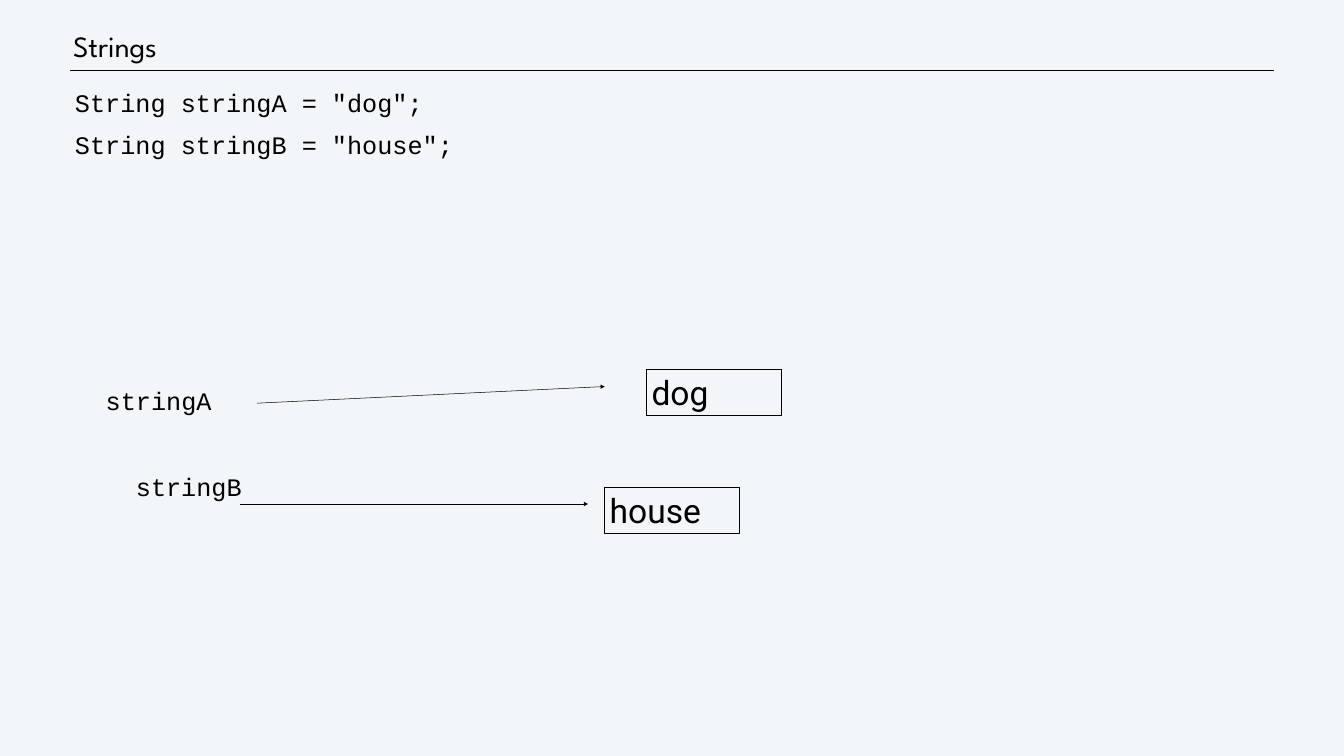
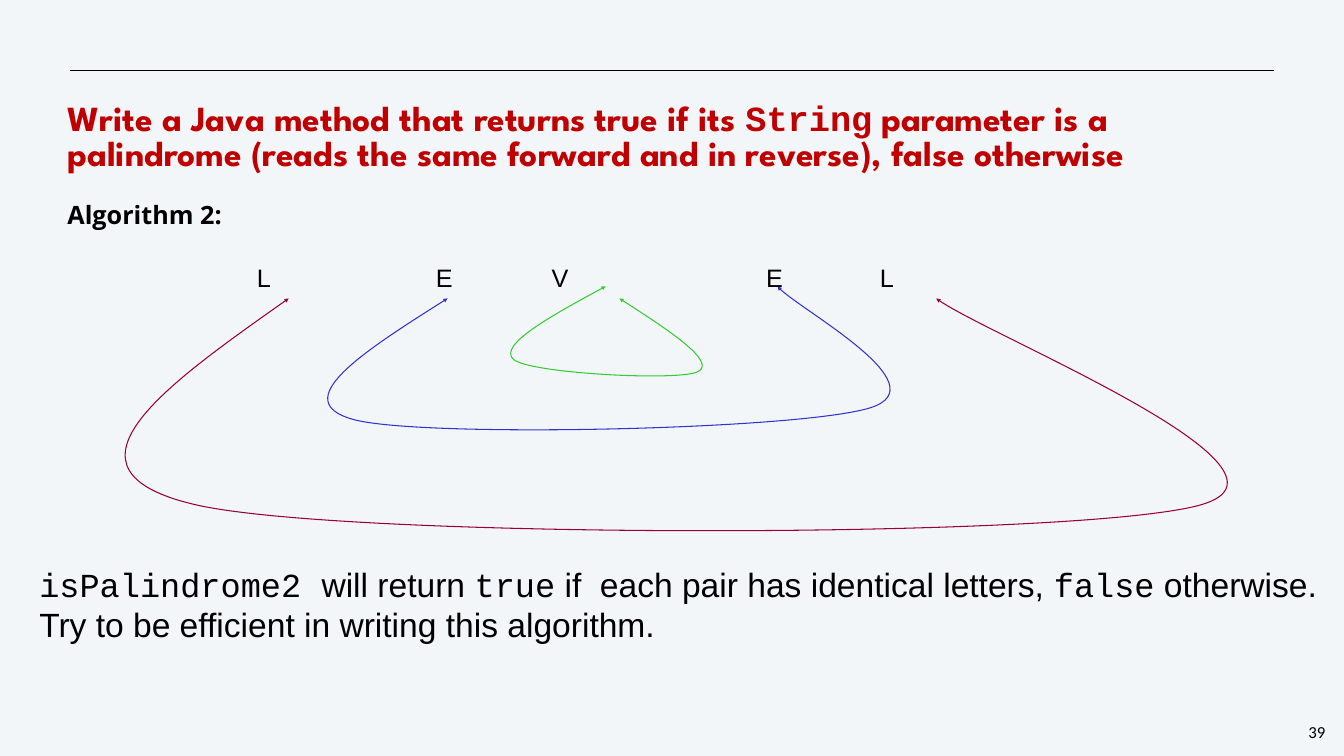
from dataclasses import dataclass

from lxml import etree
from pptx import Presentation
from pptx.dml.color import RGBColor
from pptx.enum.shapes import MSO_CONNECTOR, MSO_SHAPE
from pptx.enum.text import MSO_ANCHOR, MSO_AUTO_SIZE, PP_ALIGN
from pptx.oxml.ns import qn
from pptx.util import Cm, Pt

STRAIGHT = MSO_CONNECTOR.STRAIGHT
RECTANGLE = MSO_SHAPE.RECTANGLE
TOP, MIDDLE = MSO_ANCHOR.TOP, MSO_ANCHOR.MIDDLE
LEFT, CENTER = PP_ALIGN.LEFT, PP_ALIGN.CENTER
NO_AUTOFIT = MSO_AUTO_SIZE.NONE

BACKGROUND = RGBColor(0xF3, 0xF6, 0xF9)
BLACK = RGBColor(0x00, 0x00, 0x00)
RED = RGBColor(0xC0, 0x00, 0x00)
OUTER_PAIR = RGBColor(0x99, 0x00, 0x33)
MIDDLE_PAIR = RGBColor(0x33, 0x33, 0xCC)
INNER_PAIR = RGBColor(0x33, 0xCC, 0x33)

HEADING_FONT = "League Spartan"
CODE_FONT = "Courier New"
TEXT_FONT = "Arial"

Point = tuple[float, float]
Runs = list[tuple[str, str]]  # text and font


@dataclass(frozen=True)
class Box:
    """Position and size in centimetres."""
    left: float
    top: float
    width: float
    height: float

    def lengths(self) -> tuple:
        return Cm(self.left), Cm(self.top), Cm(self.width), Cm(self.height)


@dataclass(frozen=True)
class TextStyle:
    size: float
    color: RGBColor = BLACK
    bold: bool = False
    line_pitch: float | None = None
    space_before: float = 0
    align: PP_ALIGN = LEFT
    anchor: MSO_ANCHOR = TOP
    inset: tuple[float, float] = (0.15, 0.15)


@dataclass(frozen=True)
class StringVariable:
    name: str
    value: str
    label: Box
    value_box: Box
    arrow: tuple[Point, Point]


@dataclass(frozen=True)
class PairCurve:
    """A chain of Bezier curves: a start, then three points for each curve."""
    color: RGBColor
    points: tuple[Point, ...]


HEADING = TextStyle(42, line_pitch=50, space_before=3, anchor=MIDDLE)
TASK = TextStyle(50.4, RED, True, 50, 3, anchor=MIDDLE)
CODE = TextStyle(36, line_pitch=43, space_before=18)
SUBHEADING = TextStyle(36, bold=True, line_pitch=43, space_before=18)
VALUE = TextStyle(48, inset=(0.25, 0.13))
LETTERS = TextStyle(36, anchor=MIDDLE, inset=(0.51, 0.25))
EXPLANATION = TextStyle(48, anchor=MIDDLE, inset=(0.51, 0.25))
PAGE_NUMBER = TextStyle(24, line_pitch=28, align=CENTER, inset=(0.1, 0.1))

VARIABLES = [
    StringVariable("stringA", "dog", Box(5.18, 19.28, 7, 2), Box(32.59, 18.62, 6.78, 2.31),
                   ((12.95, 20.32), (30.48, 19.48))),
    StringVariable("stringB", "house", Box(6.7, 23.6, 7, 2), Box(30.48, 24.56, 6.78, 2.31),
                   ((12.12, 25.4), (29.64, 25.4))),
]

LETTER_STOPS = {6.17: "L", 15.19: "E", 21.03: "V", 31.83: "E", 37.57: "L"}

PAIR_CURVES = [
    PairCurve(OUTER_PAIR, (
        (14.55, 15.04), (8.41, 19.38), (2.24, 23.7), (9.91, 25.45),
        (17.55, 27.18), (54.31, 27.18), (60.5, 25.45),
        (66.73, 23.7), (49.4, 16.76), (47.19, 15.04))),
    PairCurve(MIDDLE_PAIR, (
        (22.56, 15.04), (18.44, 17.65), (14.35, 20.24), (17.88, 21.16),
        (21.44, 22.07), (40.31, 21.67), (43.87, 20.55),
        (47.42, 19.43), (39.98, 15.44), (39.19, 14.43))),
    PairCurve(INNER_PAIR, (
        (30.53, 14.43), (27.81, 15.9), (25.1, 17.4), (25.88, 18.11),
        (26.64, 18.82), (34.32, 19.23), (35.2, 18.72),
        (36.09, 18.21), (33.66, 16.61), (31.22, 15.04))),
]


def write(shape, paragraphs: list[Runs], style: TextStyle) -> None:
    frame = shape.text_frame
    frame.word_wrap = True
    frame.auto_size = NO_AUTOFIT
    frame.vertical_anchor = style.anchor
    frame.margin_left = frame.margin_right = Cm(style.inset[0])
    frame.margin_top = frame.margin_bottom = Cm(style.inset[1])
    for index, runs in enumerate(paragraphs):
        paragraph = frame.add_paragraph() if index else frame.paragraphs[0]
        paragraph.alignment = style.align
        paragraph.space_before = Pt(style.space_before)
        if style.line_pitch:
            paragraph.line_spacing = Pt(style.line_pitch)
        for text, font_name in runs:
            run = paragraph.add_run()
            run.text = text
            run.font.name = font_name
            run.font.size = Pt(style.size)
            run.font.bold = style.bold
            run.font.color.rgb = style.color


def add_text(slide, box: Box, paragraphs: list[Runs], style: TextStyle):
    text_box = slide.shapes.add_textbox(*box.lengths())
    write(text_box, paragraphs, style)
    return text_box


def set_line(shape, color: RGBColor, width: float, ends: tuple[str, ...] = ()) -> None:
    """Format the line; ends names the arrowheads, headEnd before tailEnd."""
    shape.line.color.rgb = color
    shape.line.width = Pt(width)
    for end in ends:
        etree.SubElement(shape.line._get_or_add_ln(), qn(f"a:{end}"), type="triangle")


def add_line(slide, start: Point, end: Point, width: float, ends: tuple[str, ...] = ()) -> None:
    x1, y1, x2, y2 = (Cm(value) for value in start + end)
    line = slide.shapes.add_connector(STRAIGHT, x1, y1, x2, y2)
    set_line(line, BLACK, width, ends)
    etree.SubElement(line._element.spPr, qn("a:effectLst"))


def add_titled_slide(prs, box: Box, runs: Runs, style: TextStyle):
    slide = prs.slides.add_slide(prs.slide_layouts[5])
    title = slide.shapes.title
    title.left, title.top, title.width, title.height = box.lengths()
    write(title, [runs], style)
    add_line(slide, (3.53, 3.56), (64.21, 3.56), 1)
    return slide


def add_variable(slide, variable: StringVariable) -> None:
    add_text(slide, variable.label, [[(variable.name, CODE_FONT)]], CODE)
    value_box = slide.shapes.add_shape(RECTANGLE, *variable.value_box.lengths())
    value_box.fill.background()
    value_box.shadow.inherit = False
    set_line(value_box, BLACK, 0.75)
    write(value_box, [[(variable.value, "Roboto")]], VALUE)
    add_line(slide, *variable.arrow, 0.75, ("tailEnd",))


def add_pair_curve(slide, curve: PairCurve) -> None:
    start, *rest = [(Cm(x), Cm(y)) for x, y in curve.points]
    builder = slide.shapes.build_freeform(*start)
    builder.add_line_segments(rest, close=False)
    shape = builder.convert_to_shape()
    segments = shape._element.xpath(".//a:lnTo")
    for first in range(0, len(segments), 3):
        bezier = etree.Element(qn("a:cubicBezTo"))
        segments[first].addprevious(bezier)
        for segment in segments[first:first + 3]:
            bezier.append(segment[0])
            segment.getparent().remove(segment)
    shape.fill.background()
    shape.shadow.inherit = False
    set_line(shape, curve.color, 1.5, ("headEnd", "tailEnd"))


def add_letters(slide) -> None:
    """Write the word's letters on one line, each at its own tab stop."""
    text = "".join(f"\t{letter}" for letter in LETTER_STOPS.values())
    box = add_text(slide, Box(6.27, 12.98, 41, 2), [[(text, TEXT_FONT)]], LETTERS)
    properties = box.text_frame.paragraphs[0]._p.get_or_add_pPr()
    stops = etree.SubElement(properties, qn("a:tabLst"))
    for position in LETTER_STOPS:
        etree.SubElement(stops, qn("a:tab"), pos=str(Cm(position)), algn="l")


def build_strings_slide(prs) -> None:
    slide = add_titled_slide(prs, Box(3.53, 1.07, 57.45, 2.51),
                             [("Strings", HEADING_FONT)], HEADING)
    declarations = [[(f'String {variable.name} = "{variable.value}";', CODE_FONT)]
                    for variable in VARIABLES]
    add_text(slide, Box(3.63, 4.24, 60.5, 4.3), declarations, CODE)
    for variable in VARIABLES:
        add_variable(slide, variable)


def build_palindrome_slide(prs) -> None:
    task = [
        ("Write a Java method that returns true if its ", HEADING_FONT),
        ("String", CODE_FONT),
        (" parameter is a palindrome (reads the same forward and in reverse), "
         "false otherwise", HEADING_FONT),
    ]
    slide = add_titled_slide(prs, Box(3.25, 4.22, 58.42, 5.56), task, TASK)
    add_text(slide, Box(3.25, 9.88, 58.42, 2), [[("Algorithm 2:", "Open Sans")]], SUBHEADING)
    add_text(slide, Box(65.84, 36.3, 1.07, 1.22), [[("39", "Calibri")]], PAGE_NUMBER)
    add_letters(slide)
    for curve in PAIR_CURVES:
        add_pair_curve(slide, curve)
    explanation = [
        [("isPalindrome2 ", CODE_FONT), ("will return ", TEXT_FONT), ("true", CODE_FONT),
         (" if  each pair has identical letters, ", TEXT_FONT), ("false", CODE_FONT),
         (" otherwise.", TEXT_FONT)],
        [("Try to be efficient in writing this algorithm.", TEXT_FONT)],
    ]
    add_text(slide, Box(1.47, 28.14, 65.99, 4.6), explanation, EXPLANATION)


def main() -> None:
    prs = Presentation()
    prs.slide_width, prs.slide_height = Cm(67.74), Cm(38.1)
    background = prs.slide_master.background.fill
    background.solid()
    background.fore_color.rgb = BACKGROUND
    build_strings_slide(prs)
    build_palindrome_slide(prs)
    prs.save("out.pptx")


if __name__ == "__main__":
    main()
